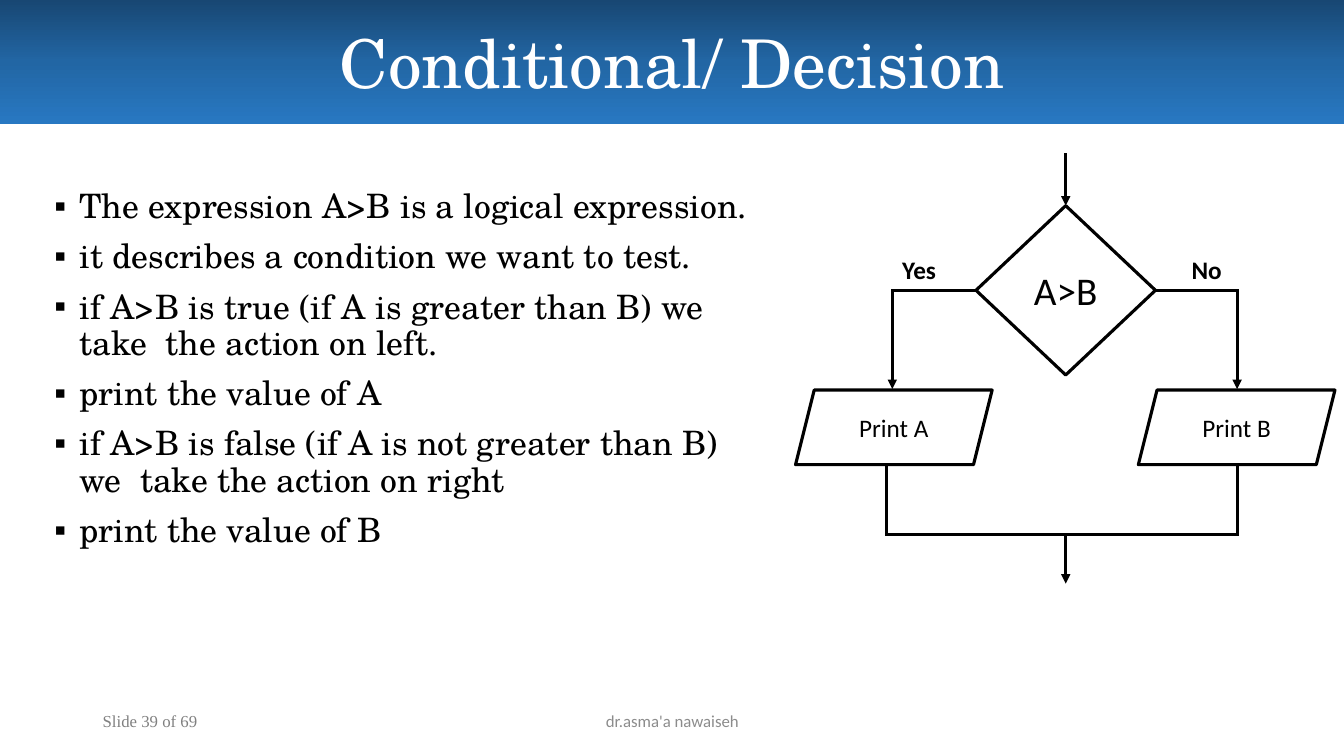
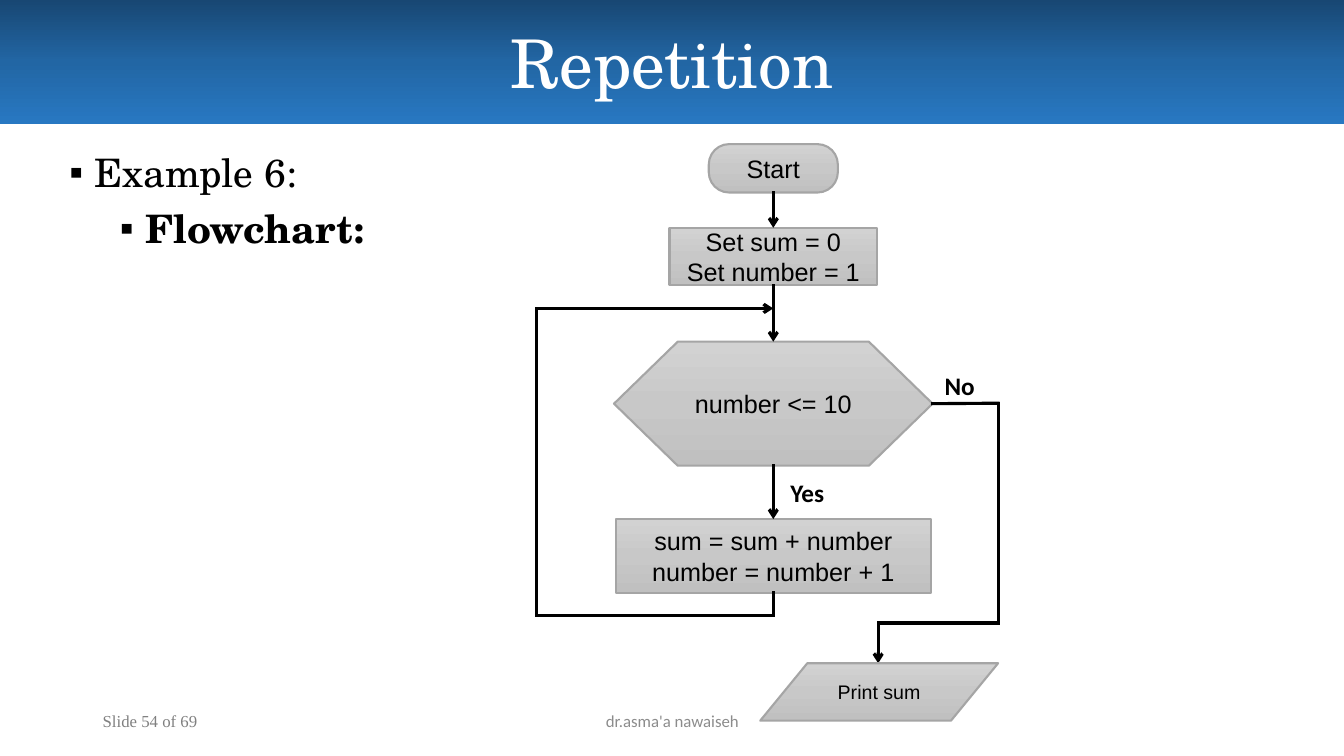
from lxml import etree
from pptx import Presentation
from pptx.dml.color import RGBColor
from pptx.enum.shapes import MSO_CONNECTOR, MSO_SHAPE
from pptx.enum.text import MSO_ANCHOR, MSO_AUTO_SIZE, PP_ALIGN
from pptx.oxml.ns import qn
from pptx.util import Inches, Pt

STRAIGHT = MSO_CONNECTOR.STRAIGHT
RECT = MSO_SHAPE.RECTANGLE
ROUND = MSO_SHAPE.ROUNDED_RECTANGLE
SLANT = MSO_SHAPE.PARALLELOGRAM
CHOICE = MSO_SHAPE.FLOWCHART_DECISION
HEXAGON = MSO_SHAPE.FLOWCHART_PREPARATION
MIDDLE, TOP_EDGE = MSO_ANCHOR.MIDDLE, MSO_ANCHOR.TOP
LEFT, CENTER = PP_ALIGN.LEFT, PP_ALIGN.CENTER
NO_FIT = MSO_AUTO_SIZE.NONE

TOP, SIDE_L, BOTTOM, SIDE_R = range(4)
SERIF, SANS, ARIAL = "TeX Gyre Schola", "Calibri", "Arial"
BLACK, WHITE, EDGE = "000000", "FFFFFF", "A5A5A5"
BLUES = ("184773", "2266A4", "2878C2")
GREYS = ("D2D2D2", "C8C8C8", "C0C0C0")


def color(code):
    return RGBColor.from_string(code)


def place(shape, x, y, w, h):
    shape.left, shape.top = Inches(x), Inches(y)
    shape.width, shape.height = Inches(w), Inches(h)


def shade(shape, codes):
    shape.fill.gradient()
    shape.fill.gradient_angle = 270
    stops = shape._element.spPr.find(qn("a:gradFill")).find(qn("a:gsLst"))
    for stop in list(stops):
        stops.remove(stop)
    for i, code in enumerate(codes):
        pos = str(100000 * i // (len(codes) - 1))
        stop = etree.SubElement(stops, qn("a:gs"), pos=pos)
        etree.SubElement(stop, qn("a:srgbClr"), val=code)


def write(shape, text, size, face, code=BLACK, bold=False, align=CENTER,
          anchor=MIDDLE):
    frame = shape.text_frame
    frame.text = text
    frame.vertical_anchor = anchor
    for para in frame.paragraphs:
        para.alignment = align
        for run in para.runs:
            font = run.font
            font.size, font.name, font.bold = Pt(size), face, bold
            font.color.rgb = color(code)


def label(slide, spot, text, size, face, code=BLACK, wrap=True, **look):
    box = slide.shapes.add_textbox(*map(Inches, spot))
    box.text_frame.word_wrap = wrap
    write(box, text, size, face, code, **look)
    return box


def answer(slide, x, y, text):
    label(slide, (x, y, 0.56, 0.4), text, 18, SANS, wrap=False, bold=True,
          align=LEFT, anchor=TOP_EDGE)


def node(slide, kind, spot, text, size, face, grey=False, bend=None):
    shape = slide.shapes.add_shape(kind, *map(Inches, spot))
    shape.shadow.inherit = False
    if bend is not None:
        shape.adjustments[0] = bend
    if grey:
        shade(shape, GREYS)
    else:
        shape.fill.solid()
        shape.fill.fore_color.rgb = color(WHITE)
    shape.line.color.rgb = color(EDGE if grey else BLACK)
    shape.line.width = Pt(1.5 if grey else 2.25)
    frame = shape.text_frame
    frame.margin_top = frame.margin_bottom = 0
    write(shape, text, size, face)
    return shape


def wire(slide, start, end, head=None):
    ends = map(Inches, (*start, *end))
    line = slide.shapes.add_connector(STRAIGHT, *ends)
    line.line.color.rgb = color(BLACK)
    line.line.width = Pt(2.25)
    props = line._element.spPr
    stroke = props.find(qn("a:ln"))
    stroke.set("cap", "sq")
    if head:
        etree.SubElement(stroke, qn("a:tailEnd"), type=head)
    etree.SubElement(props, qn("a:effectLst"))
    return line


def route(slide, points, head=None):
    last = len(points) - 2
    return [wire(slide, a, b, head if i == last else None)
            for i, (a, b) in enumerate(zip(points, points[1:]))]


def bullets(slide, spot, items, size):
    text = "\n".join(item for item, level in items)
    box = label(slide, spot, text, size, SERIF, align=LEFT, anchor=TOP_EDGE)
    for i, (para, (item, level)) in enumerate(
            zip(box.text_frame.paragraphs, items)):
        para.level = level
        para.line_spacing = 0.9
        para.space_before = Pt(10 if i else 0)
        props = para._p.get_or_add_pPr()
        props.set("marL", str(Inches(0.25 + 0.5 * level)))
        props.set("indent", str(Inches(-0.25)))
        etree.SubElement(props, qn("a:buFont"), typeface=ARIAL)
        etree.SubElement(props, qn("a:buChar"), char="▪")
        for run in para.runs:
            run.font.bold = level > 0


def start(deck, text, page):
    slide = deck.slides.add_slide(deck.slide_layouts[5])
    title = slide.shapes.title
    place(title, 0, 0, 13.33, 1.23)
    shade(title, BLUES)
    write(title, text, 48, SERIF, WHITE)
    title.text_frame.auto_size = NO_FIT
    label(slide, (0.92, 6.95, 3, 0.4), f"Slide {page} of 69", 12,
          "Times New Roman", "808080", align=LEFT)
    label(slide, (4.42, 6.95, 4.5, 0.4), "dr.asma'a nawaiseh", 12,
          SANS, "8C8C8C")
    return slide


def decide(deck):
    slide = start(deck, "Conditional/ Decision", 39)
    lines = (
        "The expression A>B is a logical expression.",
        "it describes a condition we want to test.",
        "if A>B is true (if A is greater than B) we take  the action on left.",
        "print the value of A",
        "if A>B is false (if A is not greater than B) we  take the action "
        "on right",
        "print the value of B",
    )
    bullets(slide, (0.44, 1.83, 7.1, 3.71), [(t, 0) for t in lines], 24)

    mid, row, base = 10.57, 2.88, 5.3
    test = node(slide, CHOICE, (9.68, 2.04, 1.78, 1.68), "A>B", 28, SANS)
    for x, text in ((7.89, "Print A"), (11.29, "Print B")):
        node(slide, SLANT, (x, 3.87, 1.95, 0.74), text, 18, SANS)
    for edge, x, site in ((9.68, 8.85, SIDE_L), (11.46, 12.27, SIDE_R)):
        legs = route(slide, ((edge, row), (x, row), (x, 3.86)), "triangle")
        legs[0].begin_connect(test, site)
    route(slide, ((8.79, 4.61), (8.79, base), (12.27, base), (12.27, 4.64)))
    wire(slide, (mid, base), (mid, 5.79), "triangle")
    wire(slide, (mid, 1.53), (mid, 2.04), "triangle").end_connect(test, TOP)
    answer(slide, 8.85, 2.47, "Yes")
    answer(slide, 11.72, 2.47, "No")


def repeat(deck):
    slide = start(deck, "Repetition", 54)
    bullets(slide, (0.59, 1.47, 4.73, 1.59),
            [("Example 6:", 0), ("Flowchart:", 1)], 28)

    mid = 7.67
    steps = (
        (ROUND, 1.43, 1.28, 0.48, "Start", 0.42),
        (RECT, 2.26, 2.06, 0.57, "Set sum = 0\nSet number = 1", None),
        (HEXAGON, 3.39, 3.16, 1.23, "number <= 10", None),
        (RECT, 5.15, 3.12, 0.73, "sum = sum + number\nnumber = number + 1",
         None),
    )
    nodes = [node(slide, kind, (mid - w / 2, y, w, h), text, 18, ARIAL,
                  True, bend)
             for kind, y, w, h, text, bend in steps]
    for above, below in zip(nodes, nodes[1:]):
        line = wire(slide, (mid, 2), (mid, 3), "arrow")
        line.begin_connect(above, BOTTOM)
        line.end_connect(below, TOP)
    test, body = nodes[2:]

    loop = route(slide, ((mid, 5.88), (mid, 6.11), (5.32, 6.11),
                         (5.32, 3.06), (mid, 3.06)), "arrow")
    loop[0].begin_connect(body, BOTTOM)
    leave = route(slide, ((9.25, 4), (9.9, 4), (9.9, 6.18),
                          (8.71, 6.18), (8.71, 6.58)), "arrow")
    leave[0].begin_connect(test, SIDE_R)
    node(slide, SLANT, (7.54, 6.58, 2.36, 0.57), "Print sum", 14, ARIAL,
         True, 0.82)
    answer(slide, 7.74, 4.69, "Yes")
    answer(slide, 9.27, 3.62, "No")


def main():
    deck = Presentation()
    deck.slide_width, deck.slide_height = Inches(13.33), Inches(7.5)
    decide(deck)
    repeat(deck)
    deck.save("out.pptx")


if __name__ == "__main__":
    main()
